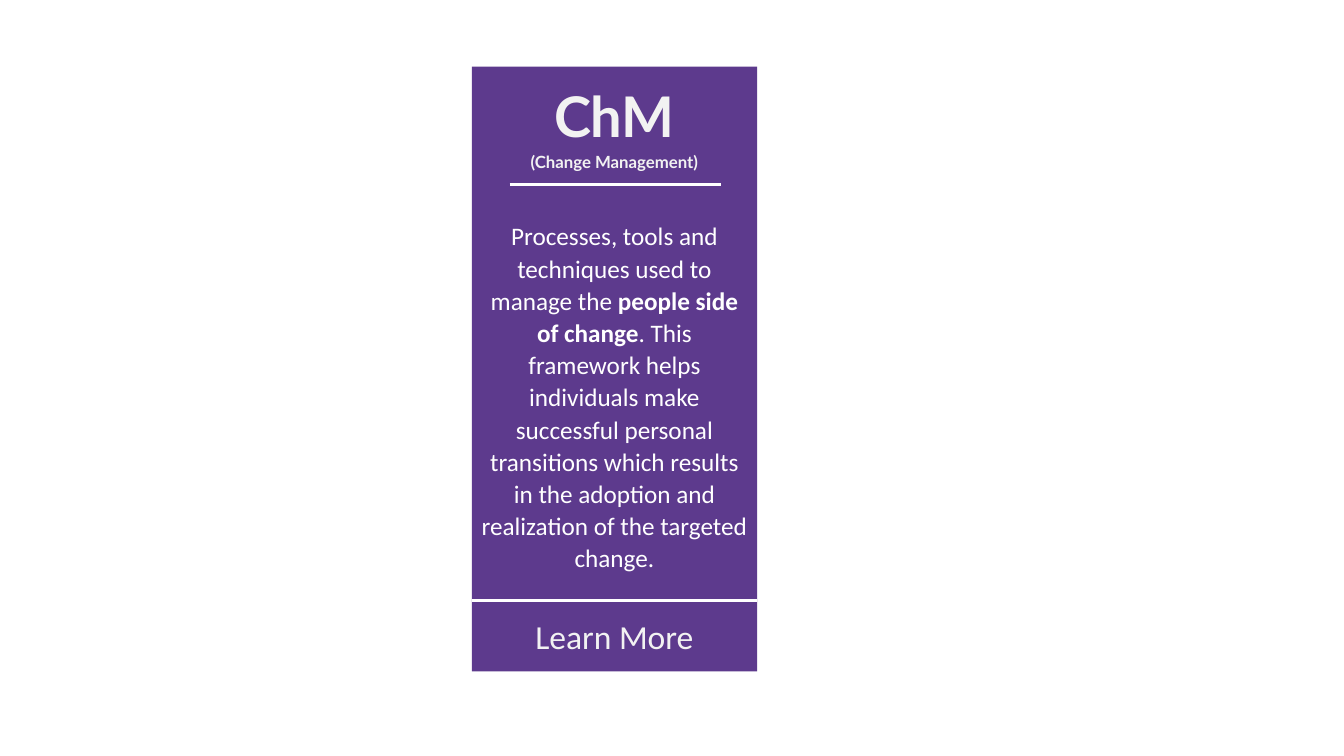
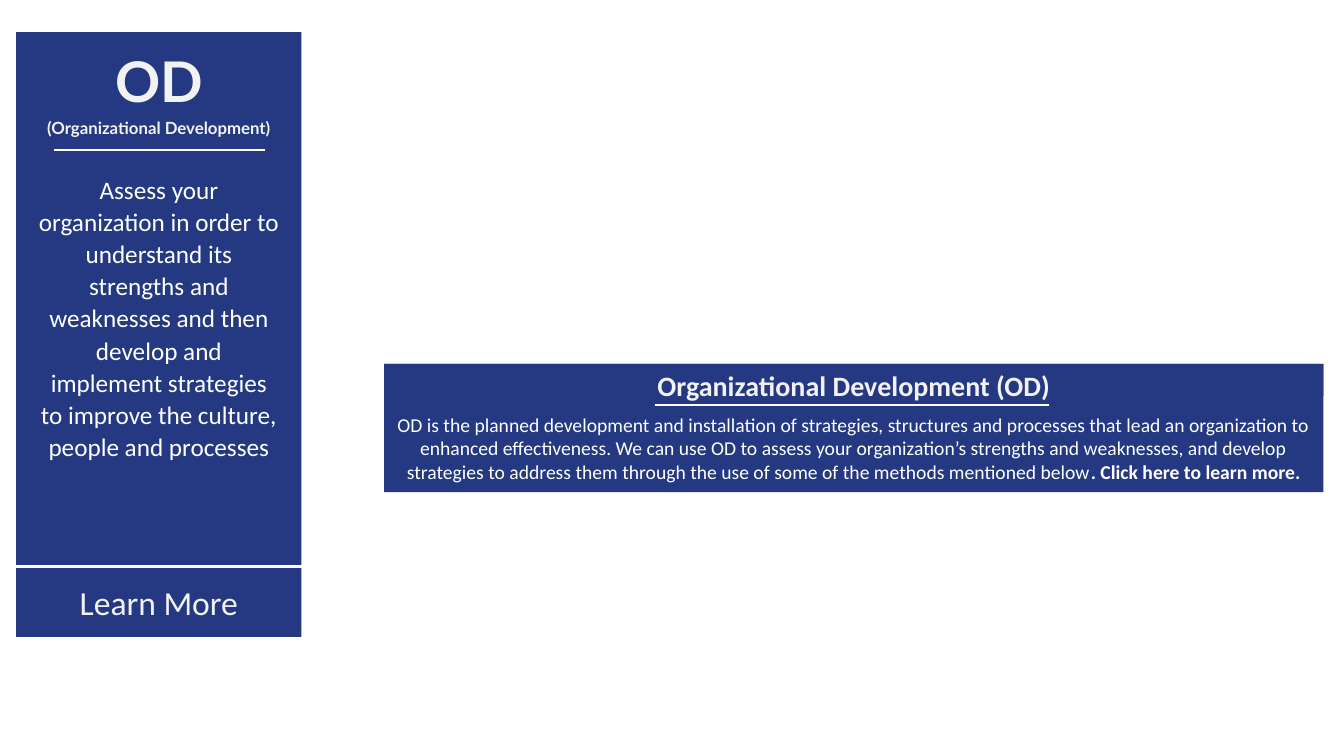
from pptx import Presentation
from pptx.dml.color import RGBColor
from pptx.enum.shapes import MSO_CONNECTOR as Connector, MSO_SHAPE as Shape
from pptx.enum.text import MSO_ANCHOR as Anchor, PP_ALIGN as Align
from pptx.oxml.ns import qn
from pptx.util import Cm, Pt
from lxml.etree import SubElement

PURPLE, NAVY, PALE, WHITE = "5D3A8D", "243981", "F2F2F2", "FFFFFF"
HEADING_FONT, BODY_FONT = "Lato", "Calibri"
CARD_WIDTH, CARD_HEIGHT = 7.19, 15.24

# Body runs are (text, bold); lengths are centimetres, body offsets are from the card.
CARDS = [
    dict(left=11.89, top=1.68, color=PURPLE, short="ChM", full="(Change Management)",
         body_top=3.71, body_inset=0, body_height=9.27,
         body=[("Processes, tools and techniques used to manage the ", False),
               ("people side of change", True),
               (". This framework helps individuals make successful personal transitions "
                "which results in the adoption and realization of the targeted change.", False)]),
    dict(left=0.41, top=0.81, color=NAVY, short="OD", full="(Organizational Development)",
         body_top=3.4, body_inset=0.32, body_height=7.62,
         body=[("Assess your organization in order to understand its strengths and weaknesses "
                "and then develop and implement strategies to improve the culture, people and "
                "processes", False)]),
]
BUTTON = "Learn More"
BANNER = dict(
    left=9.68, top=9.17, width=23.67, height=3.23, band_height=0.81, color=NAVY,
    title="Organizational Development (OD)", rule=(16.51, 26.44, 10.21),
    body=[("OD is the planned development and installation of strategies, structures and "
           "processes that lead an organization to enhanced effectiveness. We can use OD to "
           "assess your organization’s strengths and weaknesses, and develop strategies to "
           "address them through the use of some of the methods mentioned below", False),
          (". Click here to learn more.", True)])


def rgb(value):
    """Turn a hex string into a colour."""
    return RGBColor.from_string(value)


def add_panel(slide, left, top, width, height, color):
    """Draw a flat rectangle without an outline."""
    panel = slide.shapes.add_shape(Shape.RECTANGLE, Cm(left), Cm(top), Cm(width), Cm(height))
    panel.shadow.inherit = False
    panel.fill.solid()
    panel.fill.fore_color.rgb = rgb(color)
    panel.line.fill.background()
    return panel


def add_rule(slide, start, end, y, weight):
    """Draw a horizontal white line."""
    rule = slide.shapes.add_connector(Connector.STRAIGHT, Cm(start), Cm(y), Cm(end), Cm(y))
    rule.line.color.rgb = rgb(WHITE)
    rule.line.width = Pt(weight)
    SubElement(rule._element.spPr, qn("a:effectLst"))


def write(paragraph, runs, size, font=BODY_FONT, color=WHITE):
    """Fill a centred paragraph with (text, bold) runs."""
    paragraph.alignment = Align.CENTER
    for text, bold in runs:
        run = paragraph.add_run()
        run.text = text
        run.font.size, run.font.name, run.font.bold = Pt(size), font, bold
        run.font.color.rgb = rgb(color)


def add_label(slide, left, top, width, height, runs, size, font=BODY_FONT, color=WHITE):
    """Add a wrapping text box and return its paragraph."""
    label = slide.shapes.add_textbox(Cm(left), Cm(top), Cm(width), Cm(height))
    label.text_frame.word_wrap = True
    paragraph = label.text_frame.paragraphs[0]
    write(paragraph, runs, size, font, color)
    return paragraph


def add_card(slide, card):
    """Draw a tall card: short name, full name, description and button."""
    left, top, inset = card["left"], card["top"], card["body_inset"]
    add_panel(slide, left, top, CARD_WIDTH, CARD_HEIGHT, card["color"])
    for text, offset, height, size, font, bold in [
            (card["short"], 0.25, 1.96, 40, HEADING_FONT, True),
            (BUTTON, 13.72, 1.27, 24, BODY_FONT, False),
            (card["full"], 2.03, 0.76, 12, HEADING_FONT, True)]:
        add_label(slide, left, top + offset, CARD_WIDTH, height, [(text, bold)],
                  size, font, PALE)
    body = add_label(slide, left + inset, top + card["body_top"], CARD_WIDTH - 2 * inset,
                     card["body_height"], card["body"], 18)
    body.line_spacing, body.space_before = Pt(23), Pt(5)
    add_rule(slide, left + 0.95, left + 6.27, top + 2.97, 1.5)
    add_rule(slide, left, left + CARD_WIDTH, top + 13.46, 2.25)


def add_banner(slide, banner):
    """Draw the wide banner with an underlined heading and a description."""
    left, top, width = banner["left"], banner["top"], banner["width"]
    add_panel(slide, left, top, width, banner["band_height"], banner["color"])
    frame = add_panel(slide, left, top, width, banner["height"], banner["color"]).text_frame
    frame.word_wrap = True
    frame.vertical_anchor = Anchor.TOP
    write(frame.paragraphs[0], [(banner["title"], True)], 20, color=PALE)
    description = frame.add_paragraph()
    description.space_before = Pt(7.3)
    write(description, banner["body"], 14)
    add_rule(slide, *banner["rule"], 1.5)


deck = Presentation()
deck.slide_width, deck.slide_height = Cm(33.87), Cm(19.05)
for card in CARDS:
    slide = deck.slides.add_slide(deck.slide_layouts[6])
    add_card(slide, card)
add_banner(slide, BANNER)
deck.save("out.pptx")
